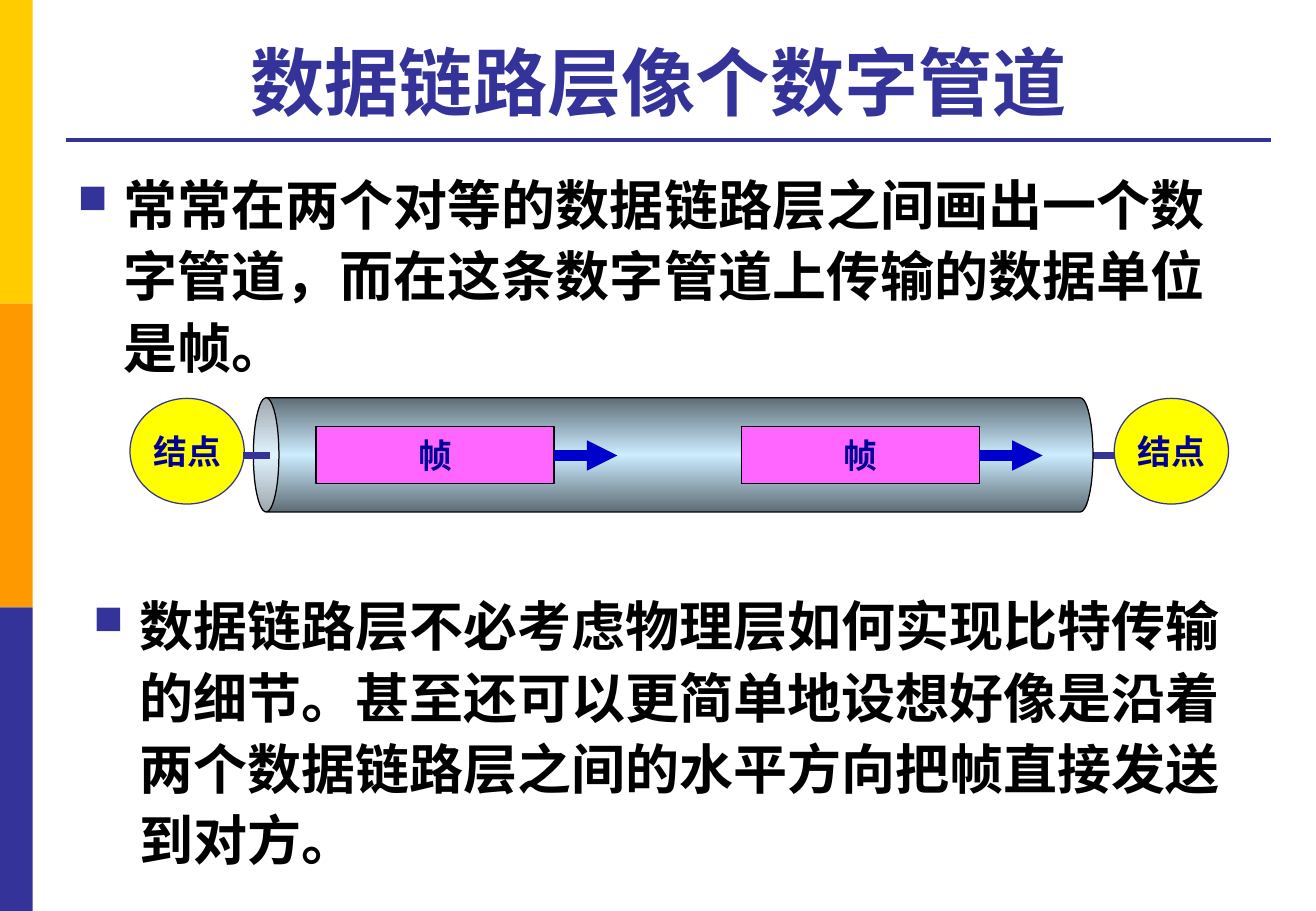
from dataclasses import dataclass

from lxml.etree import SubElement
from pptx import Presentation
from pptx.dml.color import RGBColor
from pptx.enum.shapes import MSO_CONNECTOR, MSO_SHAPE as Preset
from pptx.enum.text import MSO_ANCHOR as Anchor, MSO_AUTO_SIZE as AutoSize, PP_ALIGN as Align
from pptx.oxml import parse_xml
from pptx.oxml.ns import nsdecls, qn
from pptx.shapes.autoshape import Shape
from pptx.slide import Slide
from pptx.text.text import TextFrame
from pptx.util import Inches, Pt

INDIGO = RGBColor(0x33, 0x33, 0x99)
GOLD = RGBColor(0xFF, 0xCC, 0x00)
ORANGE = RGBColor(0xFF, 0x99, 0x00)
YELLOW = RGBColor(0xFF, 0xFF, 0x00)
PINK = RGBColor(0xFF, 0x66, 0xFF)
NAVY = RGBColor(0x00, 0x00, 0x99)
BLUE = RGBColor(0x00, 0x00, 0xCC)
BLACK = RGBColor(0x00, 0x00, 0x00)
PIPE_EDGE = RGBColor(0x5E, 0x6D, 0x76)
PIPE_SHINE = RGBColor(0xCC, 0xEC, 0xFF)

FONT = "Times New Roman"
PIPE_AXIS = 3.75
FRAME_WIDTH = 1.96
ARROW_LENGTH = 0.52


@dataclass(frozen=True)
class Block:
    preset: Preset
    left: float
    top: float
    width: float
    height: float
    fill: RGBColor
    outline: RGBColor | None = None
    label: str = ""


@dataclass(frozen=True)
class Line:
    start: float
    end: float
    y: float
    color: RGBColor
    weight: float
    arrow: bool = False


@dataclass(frozen=True)
class Bullet:
    left: float
    top: float
    width: float
    height: float
    text: str


def write(frame: TextFrame, text: str, size: float, color: RGBColor, align: Align) -> None:
    paragraph = frame.paragraphs[0]
    paragraph.text = text
    paragraph.alignment = align
    font_format = {"name": FONT, "size": Pt(size), "bold": True}
    for attribute, value in font_format.items():
        setattr(paragraph.runs[0].font, attribute, value)
    paragraph.runs[0].font.color.rgb = color


def draw_block(slide: Slide, block: Block) -> Shape:
    bounds = map(Inches, (block.left, block.top, block.width, block.height))
    shape = slide.shapes.add_shape(block.preset, *bounds)
    shape.shadow.inherit = False
    shape.fill.solid()
    shape.fill.fore_color.rgb = block.fill
    if block.outline is None:
        shape.line.fill.background()
    else:
        shape.line.color.rgb = block.outline
        shape.line.width = Pt(0.75)
    if block.label:
        frame_format = {"word_wrap": False, "vertical_anchor": Anchor.MIDDLE}
        for attribute, value in frame_format.items():
            setattr(shape.text_frame, attribute, value)
        write(shape.text_frame, block.label, 20, NAVY, Align.CENTER)
    return shape


def draw_line(slide: Slide, line: Line) -> None:
    ends = map(Inches, (line.start, line.y, line.end, line.y))
    connector = slide.shapes.add_connector(MSO_CONNECTOR.STRAIGHT, *ends)
    connector.line.color.rgb = line.color
    connector.line.width = Pt(line.weight)
    if line.arrow:
        SubElement(connector.line._get_or_add_ln(), qn("a:tailEnd"), type="triangle")
    SubElement(connector._element.spPr, qn("a:effectLst"))


def draw_bullet(slide: Slide, bullet: Bullet) -> None:
    bounds = map(Inches, (bullet.left, bullet.top, bullet.width, bullet.height))
    frame = slide.shapes.add_textbox(*bounds).text_frame
    frame.word_wrap = True
    paragraph = frame.paragraphs[0]
    paragraph.line_spacing = 1.1
    properties = paragraph._p.get_or_add_pPr()
    properties.set("marL", str(Inches(0.38)))
    properties.set("indent", str(Inches(-0.38)))
    color = SubElement(properties, qn("a:buClr"))
    SubElement(color, qn("a:srgbClr"), val=str(INDIGO))
    SubElement(properties, qn("a:buSzPct"), val="75000")
    SubElement(properties, qn("a:buChar"), char="■")
    write(frame, bullet.text, 32, BLACK, Align.LEFT)


def draw_pipe(slide: Slide) -> None:
    pipe = draw_block(slide, Block(Preset.CAN, 5.07, 0.29, 0.94, 6.91, PIPE_SHINE, BLACK))
    pipe.rotation = 270
    pipe.adjustments[0] = 0.224
    stops = "".join(
        f'<a:gs pos="{position}"><a:srgbClr val="{color}"/></a:gs>'
        for position, color in ((0, PIPE_EDGE), (50000, PIPE_SHINE), (100000, PIPE_EDGE))
    )
    gradient = parse_xml(
        f'<a:gradFill {nsdecls("a")} rotWithShape="1"><a:gsLst>{stops}</a:gsLst>'
        '<a:lin ang="0" scaled="1"/></a:gradFill>'
    )
    properties = pipe._element.spPr
    properties.replace(properties.find(qn("a:solidFill")), gradient)


def draw_title(slide: Slide, text: str) -> None:
    title = slide.shapes.title
    bounds = {"left": 0.54, "top": 0.21, "width": 9.91, "height": 0.87}
    for attribute, value in bounds.items():
        setattr(title, attribute, Inches(value))
    frame_format = {
        "word_wrap": True,
        "auto_size": AutoSize.NONE,
        "vertical_anchor": Anchor.BOTTOM,
    }
    for attribute, value in frame_format.items():
        setattr(title.text_frame, attribute, value)
    write(title.text_frame, text, 44, INDIGO, Align.CENTER)


def main() -> None:
    presentation = Presentation()
    presentation.slide_width = Inches(10.83)
    presentation.slide_height = Inches(7.5)
    slide = presentation.slides.add_slide(presentation.slide_layouts[5])

    for index, color in enumerate((GOLD, ORANGE, INDIGO)):
        draw_block(slide, Block(Preset.RECTANGLE, 0, 2.5 * index, 0.27, 2.5, color))
    draw_line(slide, Line(0.54, 10.46, 1.15, INDIGO, 2.25))
    draw_title(slide, "数据链路层像个数字管道 ")

    for node_left in (1.07, 9.17):
        draw_block(slide, Block(Preset.OVAL, node_left, 3.28, 0.94, 0.87, YELLOW, INDIGO, "结点"))
    draw_line(slide, Line(2, 9.17, PIPE_AXIS, INDIGO, 4.5))
    draw_pipe(slide)
    draw_line(slide, Line(2, 2.22, PIPE_AXIS, INDIGO, 4.5))

    for frame_left in (2.6, 6.1):
        frame_right = frame_left + FRAME_WIDTH
        draw_block(
            slide,
            Block(Preset.RECTANGLE, frame_left, 3.51, FRAME_WIDTH, 0.47, PINK, BLACK, "帧"),
        )
        draw_line(slide, Line(frame_right, frame_right + ARROW_LENGTH, PIPE_AXIS, BLUE, 6, True))

    bullets = (
        Bullet(0.54, 1.31, 9.91, 1.65,
               "常常在两个对等的数据链路层之间画出一个数字管道，而在这条数字管道上传输的数据单位是帧。"),
        Bullet(0.67, 4.78, 9.74, 2.47,
               "数据链路层不必考虑物理层如何实现比特传输的细节。甚至还可以更简单地设想好像是"
               "沿着两个数据链路层之间的水平方向把帧直接发送到对方。"),
    )
    for bullet in bullets:
        draw_bullet(slide, bullet)

    presentation.save("out.pptx")


if __name__ == "__main__":
    main()
